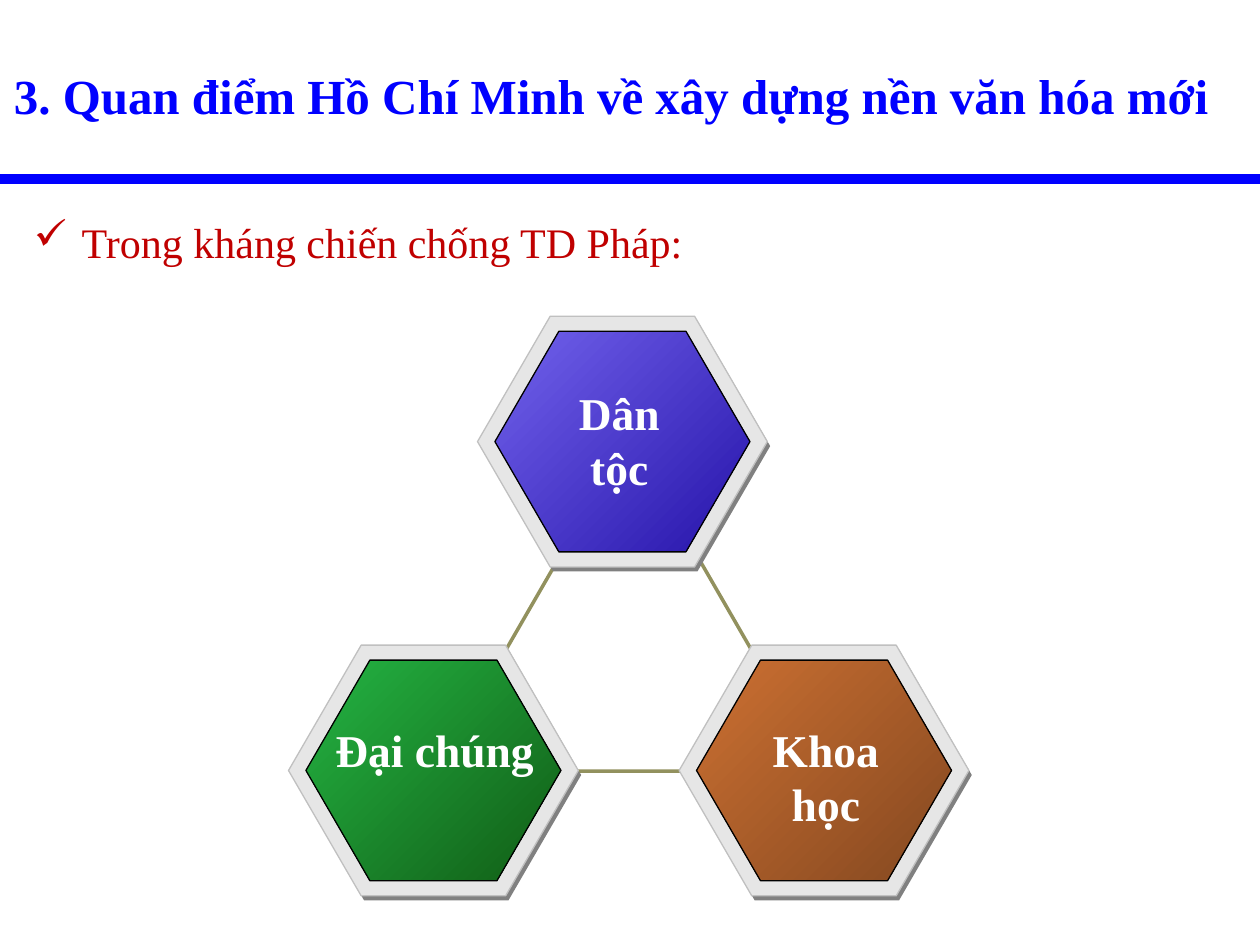
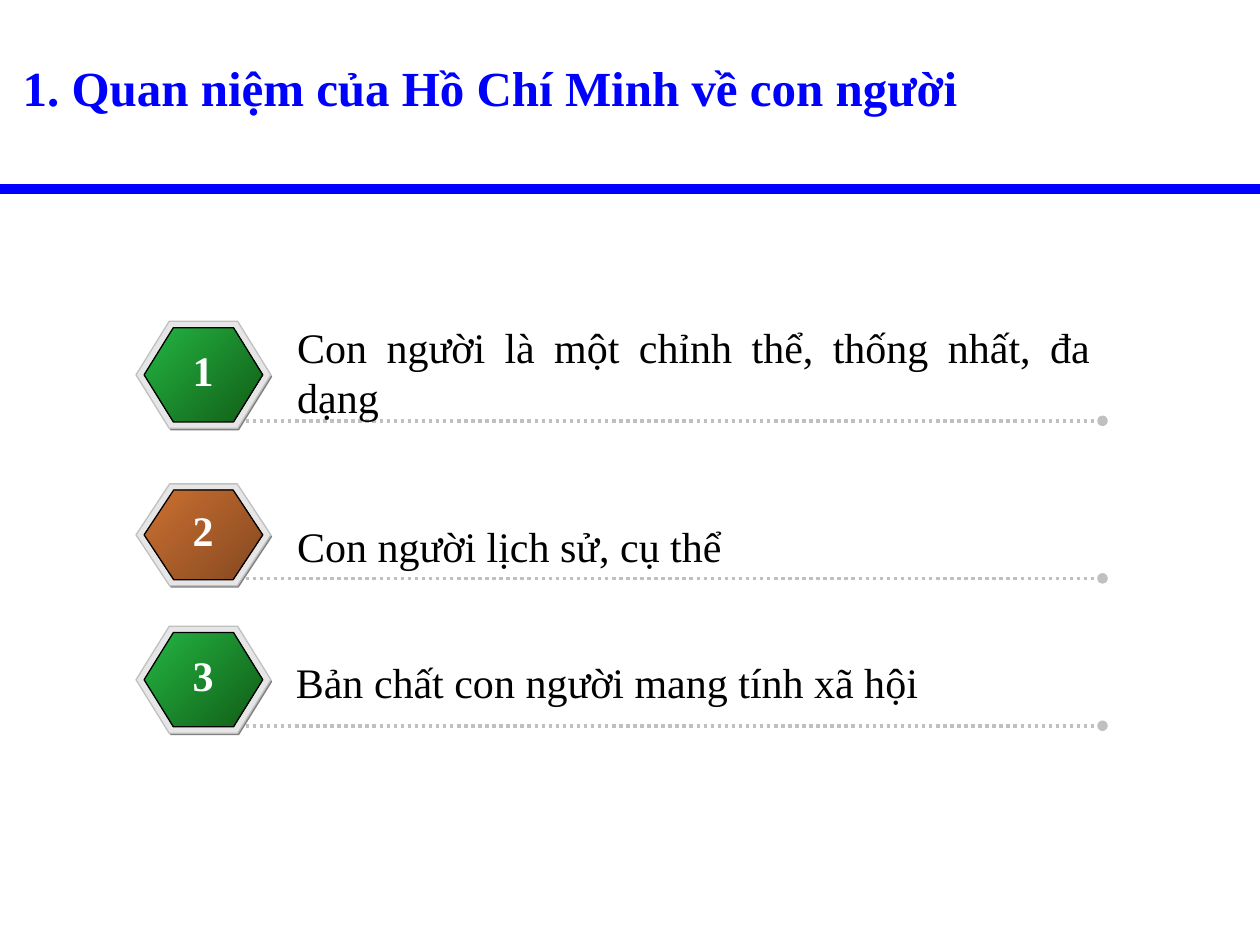
import pptx
import pptx.util
import pptx.dml.color
import pptx.enum.dml
import pptx.enum.shapes
import pptx.enum.text
import pptx.oxml
import pptx.oxml.ns
from lxml import etree

Inches = pptx.util.Inches
Pt = pptx.util.Pt
RGBColor = pptx.dml.color.RGBColor
MSO_SHAPE = pptx.enum.shapes.MSO_SHAPE
PP_ALIGN = pptx.enum.text.PP_ALIGN
MSO_AUTO_SIZE = pptx.enum.text.MSO_AUTO_SIZE

FONT = "Times New Roman"
BLUE = RGBColor(0x00, 0x00, 0xFF)
RED = RGBColor(0xC0, 0x00, 0x00)
BLACK = RGBColor(0x00, 0x00, 0x00)
WHITE = RGBColor(0xFF, 0xFF, 0xFF)
OLIVE = RGBColor(0x92, 0x91, 0x5E)
SHADE = RGBColor(0x80, 0x80, 0x80)
RIM = RGBColor(0xE6, 0xE6, 0xE6)
SILVER = RGBColor(0xC0, 0xC0, 0xC0)
VIOLET_FACE = (RGBColor(0x72, 0x62, 0xEC), RGBColor(0x26, 0x14, 0xAA))
GREEN_FACE = (RGBColor(0x24, 0xB4, 0x43), RGBColor(0x11, 0x5D, 0x16))
BROWN_FACE = (RGBColor(0xCC, 0x70, 0x32), RGBColor(0x84, 0x48, 0x20))


def set_values(obj, values):
    """Set each attribute of obj named in values."""
    for name, value in values.items():
        setattr(obj, name, value)


def add_xml(parent, tag, **attrs):
    """Append a drawing element to parent and return it."""
    return etree.SubElement(parent, pptx.oxml.ns.qn(tag), attrs)


def set_text(shape, text, size, color, bold=False, align=PP_ALIGN.LEFT, spacing=None, wrap=True):
    """Write one formatted paragraph into a shape and return it."""
    tf = shape.text_frame
    set_values(tf, {
        "word_wrap": wrap,
        "auto_size": MSO_AUTO_SIZE.SHAPE_TO_FIT_TEXT,
        "vertical_anchor": pptx.enum.text.MSO_ANCHOR.TOP,
    })
    p = tf.paragraphs[0]
    set_values(p, {"alignment": align, "line_spacing": spacing})
    r = p.add_run()
    r.text = text
    set_values(r.font, {"name": FONT, "size": Pt(size), "bold": bold})
    r.font.color.rgb = color
    return p


def add_text(shapes, box, text, size, color, **options):
    """Add a text box at box (left, top, width, height)."""
    sp = shapes.add_textbox(*map(Inches, box))
    return set_text(sp, text, size, color, **options)


def add_line(shapes, x1, x2, y, color, width):
    """Add a level line without a shadow."""
    sp = shapes.add_connector(pptx.enum.shapes.MSO_CONNECTOR.STRAIGHT,
                              Inches(x1), Inches(y), Inches(x2), Inches(y))
    sp.line.color.rgb = color
    sp.line.width = Pt(width)
    add_xml(sp._element.spPr, "a:effectLst")
    return sp


def add_outline(shapes, kind, box, color=None, width=0.75):
    """Add a preset shape with an outline, or none without a colour."""
    sp = shapes.add_shape(kind, *map(Inches, box))
    sp.shadow.inherit = False
    if color is None:
        sp.line.fill.background()
    else:
        sp.line.color.rgb = color
        sp.line.width = Pt(width)
    return sp


def add_hexagon(shapes, box, adj, face):
    """Add a rimmed hexagon with a hard shade and a gradient face."""
    x, y, w, h = box
    shade = add_outline(shapes, MSO_SHAPE.HEXAGON, (x + w * 0.01, y + h * 0.018, w, h))
    rim = add_outline(shapes, MSO_SHAPE.HEXAGON, box, SILVER)
    for sp, color in ((shade, SHADE), (rim, RIM)):
        sp.fill.solid()
        sp.fill.fore_color.rgb = color
    inner = (x + w * 0.06, y + h * 0.06, w * 0.88, h * 0.88)
    front = add_outline(shapes, MSO_SHAPE.HEXAGON, inner, BLACK)
    front.fill.gradient()
    front.fill.gradient_angle = 315
    for stop, color in zip(front.fill.gradient_stops, face):
        stop.color.rgb = color
    for sp in (shade, rim, front):
        sp.adjustments[0] = adj


def add_titled_slide(prs, title, box, rule_y):
    """Add a slide with its title and the blue rule below it."""
    s = prs.slides.add_slide(prs.slide_layouts[5])
    sp = s.shapes.title
    set_values(sp, dict(zip(("left", "top", "width", "height"), map(Inches, box))))
    set_text(sp, title, 28, BLUE, bold=True, align=PP_ALIGN.JUSTIFY, spacing=1.5)
    add_line(s.shapes, 0, 10, rule_y, BLUE, 6)
    return s


def add_check_item(shapes, box, text):
    """Add a red line of text with a check mark bullet."""
    p = add_text(shapes, box, text, 24, RED)
    pPr = p._p.get_or_add_pPr()
    pPr.set("marL", str(Inches(0.38)))
    pPr.set("indent", str(Inches(-0.38)))
    add_xml(add_xml(pPr, "a:buClr"), "a:srgbClr", val=str(RED))
    add_xml(pPr, "a:buChar", char="✓")


def add_numbered_row(s, number, top, height, adj, face, text, text_box, align):
    """Add a numbered hexagon with its text and dotted underline."""
    shapes = s.shapes.add_group_shape().shapes
    add_hexagon(shapes, (1.08, top, 1.07, height), adj, face)
    sp = add_line(shapes, 1.95, 8.75, top + height - 0.06, SILVER, 2)
    sp.line.dash_style = pptx.enum.dml.MSO_LINE.ROUND_DOT
    add_xml(sp.line._get_or_add_ln(), "a:tailEnd", type="oval")
    add_text(shapes, text_box, text, 24, BLACK, align=align)
    add_text(shapes, (1.43, top + height / 2 - 0.29, 0.36, 0.5), str(number), 24, WHITE,
             bold=True, align=PP_ALIGN.CENTER, wrap=False)


def add_culture_slide(prs):
    """Build the slide with three linked hexagons."""
    s = add_titled_slide(prs, "3. Quan điểm Hồ Chí Minh về xây dựng nền văn hóa mới",
                         (0.01, 0.24, 10.02, 0.8), 1.42)
    add_check_item(s.shapes, (0.17, 1.67, 8.08, 0.5), "Trong kháng chiến chống TD Pháp:")
    shapes = s.shapes.add_group_shape().shapes
    triangle = add_outline(shapes, MSO_SHAPE.ISOSCELES_TRIANGLE, (3.46, 3.47, 3.06, 2.65), OLIVE, 2)
    triangle.fill.background()
    for text, x, y, face, label in (
        ("Dân tộc", 3.79, 2.51, VIOLET_FACE, (4.22, 3.01, 1.39, 0.54)),
        ("Đại chúng", 2.29, 5.12, GREEN_FACE, (2.56, 5.68, 1.78, 0.54)),
        ("Khoa học", 5.39, 5.12, BROWN_FACE, (5.72, 5.68, 1.67, 0.54)),
    ):
        add_hexagon(shapes, (x, y, 2.3, 1.99), 0.29, face)
        add_text(shapes, label, text, 26, WHITE, bold=True, align=PP_ALIGN.CENTER, wrap=False)


def add_human_slide(prs):
    """Build the slide with three numbered statements."""
    s = add_titled_slide(prs, "1. Quan niệm của Hồ Chí Minh về con người",
                         (0.08, 0.17, 9.58, 0.8), 1.5)
    rows = (
        (2.55, 0.85, 0.31, GREEN_FACE, "Con người là một chỉnh thể, thống nhất, đa dạng",
         (2.26, 2.5, 6.49, 0.9), PP_ALIGN.JUSTIFY),
        (3.84, 0.81, 0.33, BROWN_FACE, "Con người lịch sử, cụ thể",
         (2.26, 4.08, 6.16, 0.5), PP_ALIGN.LEFT),
        (4.97, 0.85, 0.31, GREEN_FACE, "Bản chất con người mang tính xã hội",
         (2.25, 5.16, 6.08, 0.5), PP_ALIGN.LEFT),
    )
    for number, row in enumerate(rows, 1):
        add_numbered_row(s, number, *row)


def main():
    """Build and save the presentation."""
    prs = pptx.Presentation()
    set_values(prs, {"slide_width": Inches(10), "slide_height": Inches(7.5)})
    add_culture_slide(prs)
    add_human_slide(prs)
    prs.save("out.pptx")


if __name__ == "__main__":
    main()
